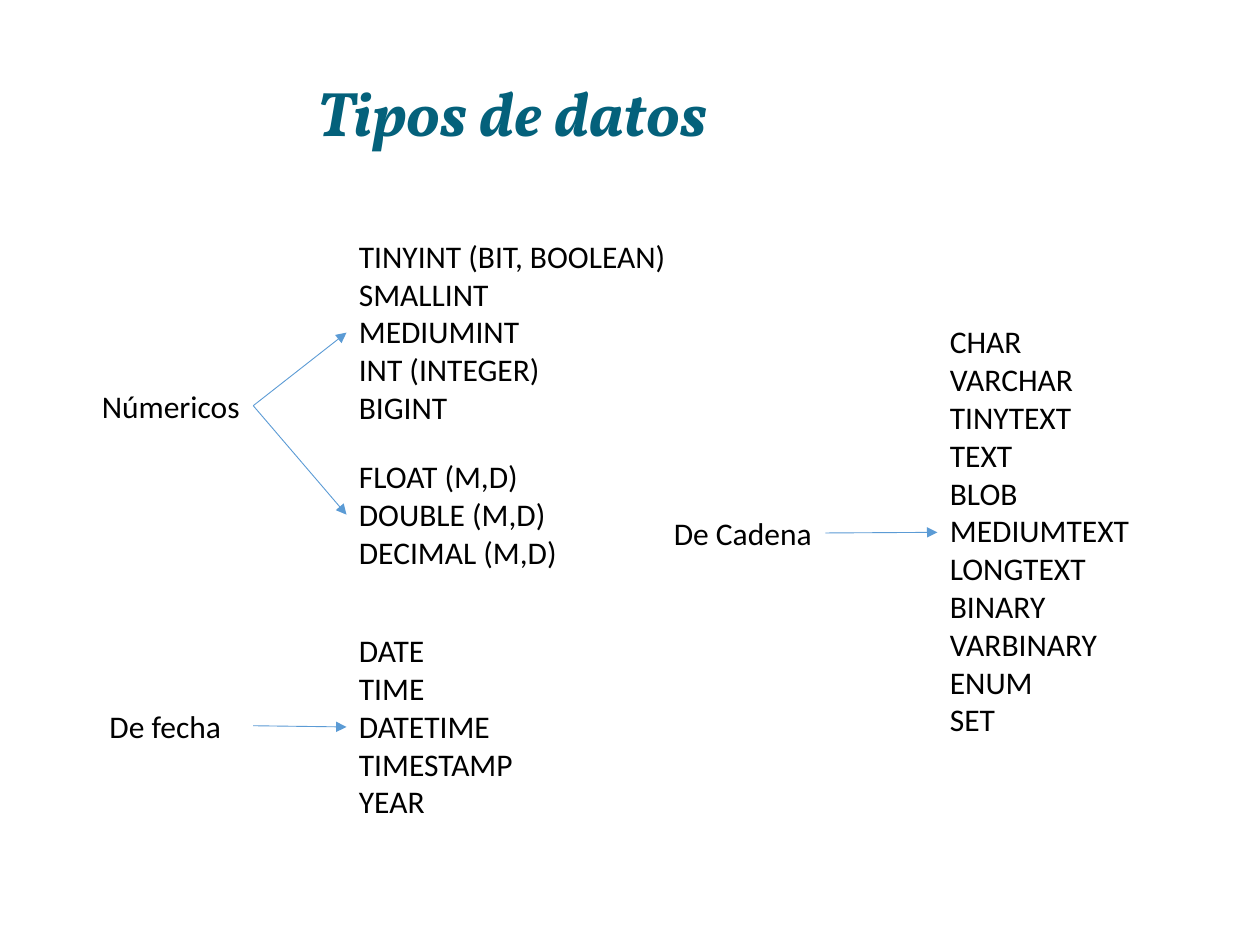
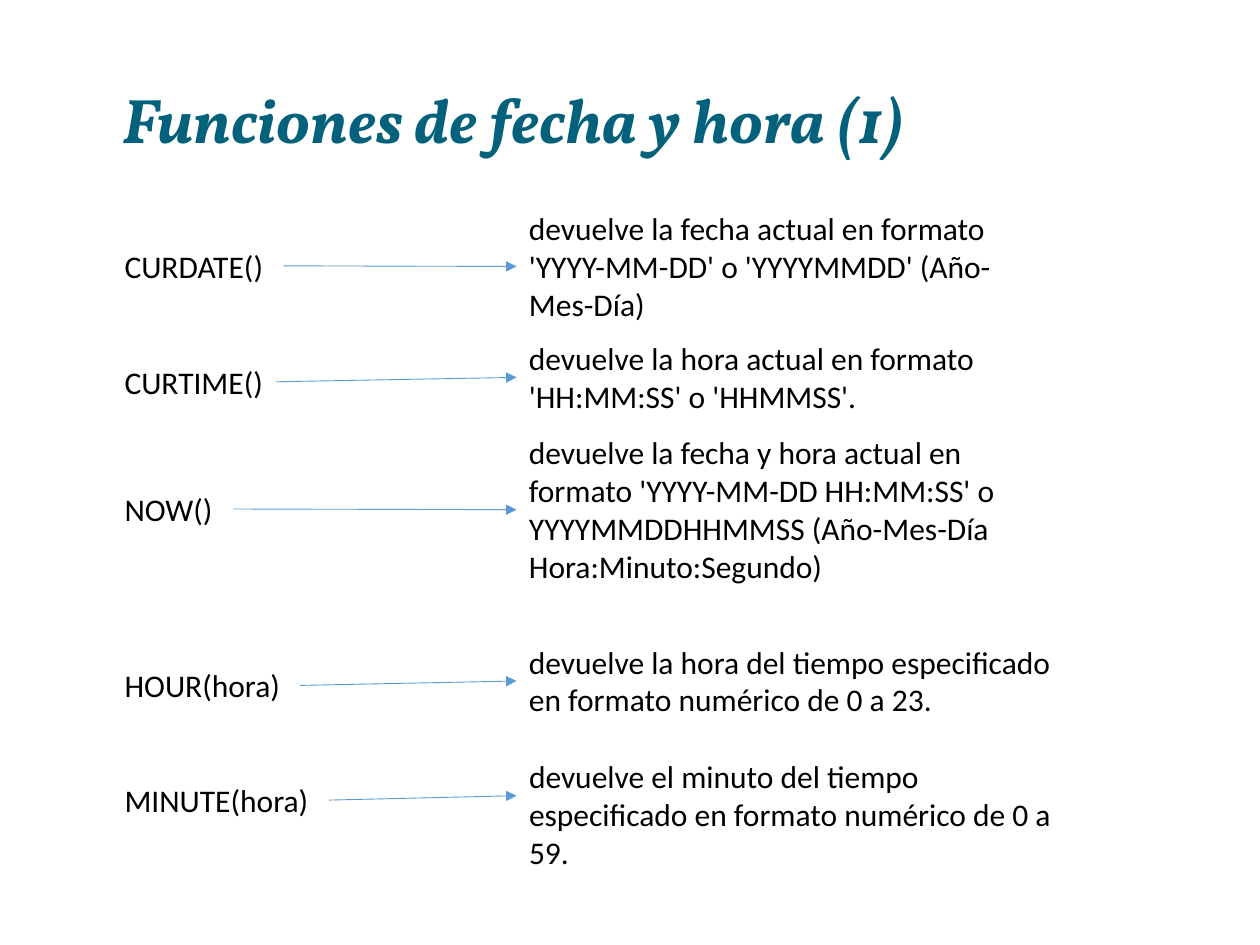
"""Builds two slides on SQL data types and date functions."""
from dataclasses import dataclass

from pptx import Presentation
from pptx import util as u
from pptx.dml.color import RGBColor
from pptx.enum import shapes, text
from pptx.oxml import ns, xmlchemy

LEFT, RIGHT = 1, 3


@dataclass(frozen=True)
class Theme:
    """Holds the colours, fonts and sizes of the deck."""
    title_color: str = "04617B"
    text_color: str = "000000"
    arrow_color: str = "5B9BD5"
    title_font: str = "Vollkorn"
    text_font: str = "Calibri"
    title_size: float = 36
    text_size: float = 18
    arrow_width: float = 0.5


def write(tf, lines, *, font, size, color, bold=False, italic=False, align=None):
    """Fill a text frame with one formatted paragraph per line."""
    for i, line in enumerate(lines):
        p = tf.paragraphs[0] if i == 0 else tf.add_paragraph()
        p.alignment = align
        r = p.add_run()
        r.text = line
        r.font.name, r.font.size = font, u.Pt(size)
        r.font.bold, r.font.italic = bold, italic
        r.font.color.rgb = RGBColor.from_string(color)


class Deck:
    """Draws styled elements on the current slide."""

    def __init__(self, theme):
        """Start an empty deck of 10 by 7.5 inches."""
        self.theme = theme
        self.prs = Presentation()
        self.prs.slide_width, self.prs.slide_height = u.Inches(10), u.Inches(7.5)
        self.s = None

    def slide(self, title, left, top, width):
        """Add a slide with its title."""
        t = self.theme
        self.s = self.prs.slides.add_slide(self.prs.slide_layouts[5])
        sp = self.s.shapes.title
        sp.left, sp.top = u.Inches(left), u.Inches(top)
        sp.width, sp.height = u.Inches(width), u.Inches(1.02)
        tf = sp.text_frame
        tf.auto_size = text.MSO_AUTO_SIZE.NONE
        tf.vertical_anchor = text.MSO_ANCHOR.MIDDLE
        write(tf, [title], font=t.title_font, size=t.title_size,
              color=t.title_color, bold=True, italic=True,
              align=text.PP_ALIGN.CENTER)

    def box(self, lines, left, top, width, height, wrap=True):
        """Add a text box that grows with its text."""
        t = self.theme
        sp = self.s.shapes.add_textbox(*map(u.Inches, (left, top, width, height)))
        sp.text_frame.word_wrap = wrap
        sp.text_frame.auto_size = text.MSO_AUTO_SIZE.SHAPE_TO_FIT_TEXT
        write(sp.text_frame, lines, font=t.text_font, size=t.text_size,
              color=t.text_color)
        return sp

    def label(self, name, left, top, width):
        """Add a one-line label."""
        return self.box([name], left, top, width, 0.4, wrap=False)

    def arrow(self, source, target, start=None):
        """Join a label to a text box, or begin at a free x position."""
        x = source.left + source.width if start is None else u.Inches(start)
        c = self.s.shapes.add_connector(
            shapes.MSO_CONNECTOR.STRAIGHT, x, source.top + source.height // 2,
            target.left, target.top + target.height // 2)
        if start is None:
            c.begin_connect(source, RIGHT)
        c.end_connect(target, LEFT)
        c.line.color.rgb = RGBColor.from_string(self.theme.arrow_color)
        c.line.width = u.Pt(self.theme.arrow_width)
        tail = xmlchemy.OxmlElement("a:tailEnd")
        tail.set("type", "triangle")
        sp_pr = c._element.spPr
        sp_pr.find(ns.qn("a:ln")).append(tail)
        sp_pr.append(xmlchemy.OxmlElement("a:effectLst"))


def data_types(deck):
    """Show the data types by family."""
    deck.slide("Tipos de datos", 0.22, 0.37, 7.69)
    list_left = 2.75
    decimals = deck.box(["FLOAT (M,D)", "DOUBLE (M,D)", "DECIMAL (M,D)"],
                        list_left, 3.58, 2.41, 1.01)
    integers = deck.box(["TINYINT (BIT, BOOLEAN)", "SMALLINT", "MEDIUMINT",
                         "INT (INTEGER)", "BIGINT"], list_left, 1.83, 2.67, 1.62)
    numeric = deck.label("Númericos", 0.71, 3.02, 1.3)
    dates = deck.box(["DATE", "TIME", "DATETIME", "TIMESTAMP", "YEAR"],
                     list_left, 4.96, 1.61, 1.62)
    date = deck.label("De fecha", 0.77, 5.56, 1.09)
    strings = deck.box(["CHAR", "VARCHAR", "TINYTEXT", "TEXT", "BLOB",
                        "MEDIUMTEXT", "LONGTEXT", "BINARY", "VARBINARY",
                        "ENUM", "SET"], 7.44, 2.51, 1.89, 3.43)
    string = deck.label("De Cadena", 5.25, 4.03, 1.3)
    deck.arrow(numeric, integers)
    deck.arrow(numeric, decimals)
    deck.arrow(date, dates, start=2.01)
    deck.arrow(string, strings)


def date_functions(deck):
    """Show the date and time functions with their results."""
    deck.slide("Funciones de fecha y hora (1)", 0.2, 0.43, 7.74)
    rows = [
        ("CURDATE()", 1.91, 1.36, 1.61, 3.96, 1.01,
         "devuelve la fecha actual en formato 'YYYY-MM-DD' o 'YYYYMMDD' "
         "(Año-Mes-Día)"),
        ("CURTIME()", 2.83, 1.3, 2.64, 3.93, 0.71,
         "devuelve la hora actual en formato 'HH:MM:SS' o 'HHMMSS'."),
        ("NOW()", 3.84, 0.96, 3.39, 3.93, 1.31,
         "devuelve la fecha y hora actual en formato 'YYYY-MM-DD HH:MM:SS' o "
         "YYYYMMDDHHMMSS (Año-Mes-Día Hora:Minuto:Segundo)"),
        ("HOUR(hora)", 5.24, 1.49, 5.05, 4.43, 0.71,
         "devuelve la hora del tiempo especificado en formato numérico de 0 a 23."),
        ("MINUTE(hora)", 6.15, 1.72, 5.96, 4.59, 0.71,
         "devuelve el minuto del tiempo especificado en formato numérico "
         "de 0 a 59."),
    ]
    for name, name_top, name_width, top, width, height, result in rows:
        function = deck.label(name, 0.89, name_top, name_width)
        deck.arrow(function, deck.box([result], 4.1, top, width, height))


def main():
    """Build and save the deck."""
    deck = Deck(Theme())
    data_types(deck)
    date_functions(deck)
    deck.prs.save("out.pptx")


if __name__ == "__main__":
    main()
